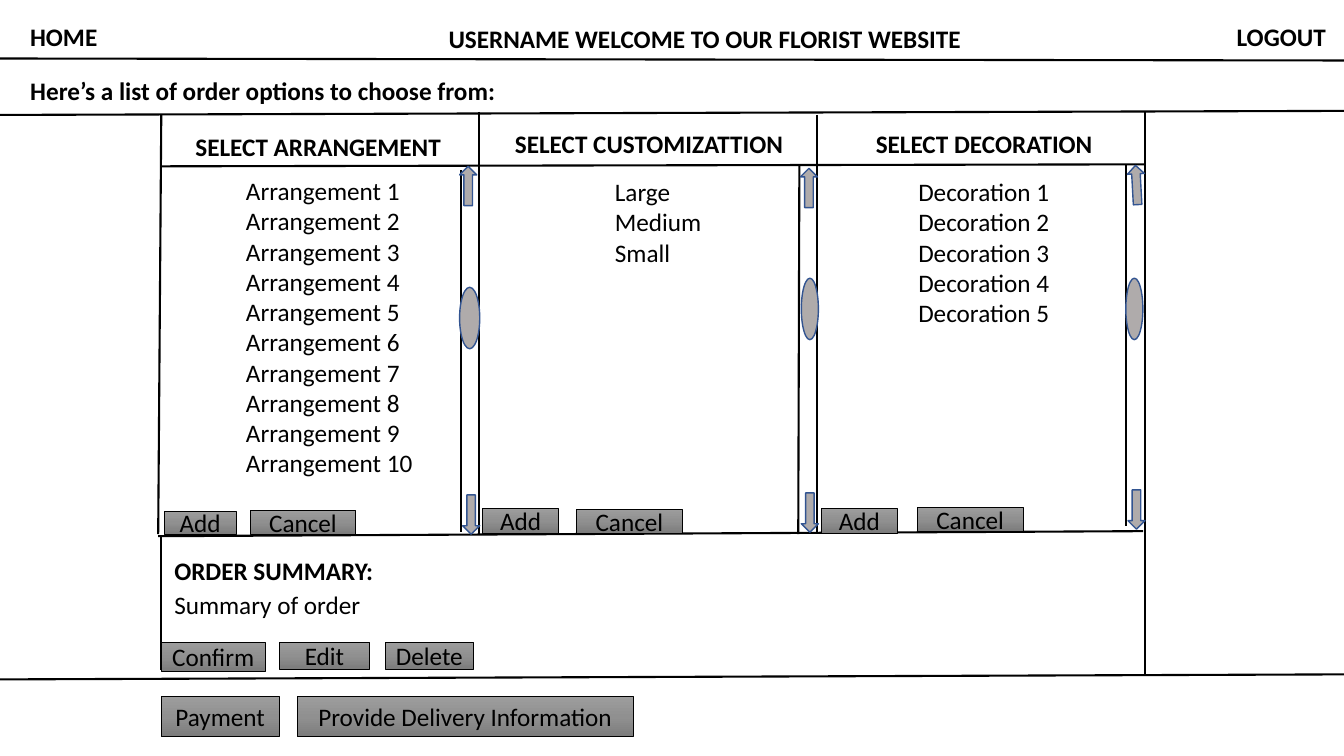
from copy import deepcopy

from lxml import etree
from pptx import Presentation
from pptx.dml.color import RGBColor
from pptx.enum.shapes import MSO_CONNECTOR, MSO_SHAPE
from pptx.enum.text import MSO_ANCHOR, MSO_AUTO_SIZE, PP_ALIGN
from pptx.oxml.ns import qn
from pptx.util import Pt

LINE = MSO_CONNECTOR.STRAIGHT
RECT = MSO_SHAPE.RECTANGLE
OVAL = MSO_SHAPE.OVAL
DOWN = MSO_SHAPE.DOWN_ARROW
TOP = MSO_ANCHOR.TOP
MIDDLE = MSO_ANCHOR.MIDDLE
LEFT = PP_ALIGN.LEFT
CENTER = PP_ALIGN.CENTER
NO_FIT = MSO_AUTO_SIZE.NONE

WIDE, HIGH = 960, 540
PANEL_TOP, PANEL_HIGH = 79.2, 302.4
ROW = 28.8
SHADES = ((0, "9D9D9D"), (0.5, "909090"), (1, "7C7C7C"))

PANELS = [
    dict(left=115.2, title="SELECT ARRANGEMENT",
         items=[f"Arrangement {n}" for n in range(1, 11)],
         head=(17.3, 10.8, 206.6, ROW), list=(53.3, 42.5, 134.6, 225.4),
         add=(2.2, 285.8, 51.1, 16.6), cancel=(63.4, 285.1, 75.6, 17.3),
         track=(213.8, 42.5, 213.8, 301), thumb=(213.1, 126, 14.4, 43.9),
         down=(215.3, 274.3), up=(213.1, 39.6), turn=180),
    dict(left=342, title="SELECT CUSTOMIZATTION",
         items=["Large", "Medium", "Small"],
         head=(18.7, 8.6, 211.7, ROW), list=(90, 43.2, 77, 72.7),
         add=(2.9, 283.7, 54, 18), cancel=(69.8, 284.4, 75.6, 17.3),
         track=(229, 38.9, 228.2, 302.4), thumb=(230.4, 119.5, 12.2, 43.9),
         down=(230.4, 272.9), up=(229.7, 41), turn=180),
    dict(left=583.9, title="SELECT DECORATION",
         items=[f"Decoration {n}" for n in range(1, 6)],
         head=(34.6, 8.6, 199.4, ROW), list=(64.8, 43.2, 109.4, 116.6),
         add=(2.9, 283.7, 54, 18), cancel=(71.3, 283, 75.6, 17.3),
         track=(220.3, 38.2, 220.3, 296.6), thumb=(220.3, 119.5, 12.2, 43.9),
         down=(221.8, 270.7), up=(221.8, 38.9), turn=176.9),
]


def tint(code):
    return RGBColor.from_string(code)


def shift(box, part):
    return (box[0] + part[0], box[1] + part[1], *part[2:])


def place(shape, spot):
    shape.left, shape.top, shape.width, shape.height = map(Pt, spot)


def write(shape, rows, bold=False, align=LEFT, anchor=TOP):
    frame = shape.text_frame
    frame.word_wrap = True
    frame.auto_size = NO_FIT
    frame.vertical_anchor = anchor
    for i, row in enumerate(rows):
        para = frame.add_paragraph() if i else frame.paragraphs[0]
        para.alignment = align
        para.line_spacing = 1.0
        para.space_before = Pt(0)
        props = para._p.get_or_add_pPr()
        props.set("marL", "0")
        props.set("indent", "0")
        etree.SubElement(props, qn("a:buNone"))
        run = para.add_run()
        run.text = row
        run.font.name = "Calibri"
        run.font.size = Pt(18)
        run.font.bold = bold
        run.font.color.rgb = tint("000000")


def label(slide, spot, text, bold=True):
    write(slide.shapes.add_textbox(*map(Pt, spot)), [text], bold)


def fill_in(holder, spot, rows, bold=False):
    place(holder, spot)
    write(holder, rows, bold)


def rule(slide, x1, y1, x2, y2):
    line = slide.shapes.add_connector(LINE, Pt(x1), Pt(y1), Pt(x2), Pt(y2))
    line.line.color.rgb = tint("000000")
    line.line.width = Pt(1.5)
    etree.SubElement(line._element.spPr, qn("a:effectLst"))


def block(slide, kind, spot, edge, width):
    shape = slide.shapes.add_shape(kind, *map(Pt, spot))
    shape.shadow.inherit = False
    shape.line.color.rgb = tint(edge)
    shape.line.width = Pt(width)
    return shape


def button(slide, spot, text):
    shape = block(slide, RECT, spot, "000000", 0.5)
    shape.fill.gradient()
    shape.fill.gradient_angle = 270
    stops = shape._element.spPr.find(".//" + qn("a:gsLst"))
    stops.insert(1, deepcopy(stops[0]))
    for stop, (at, code) in zip(shape.fill.gradient_stops, SHADES):
        stop.position = at
        stop.color.rgb = tint(code)
    write(shape, [text], align=CENTER, anchor=MIDDLE)


def grip(slide, kind, spot, turn=0):
    shape = block(slide, kind, spot, "325491", 1)
    shape.fill.solid()
    shape.fill.fore_color.rgb = tint("AFABAB")
    shape.rotation = turn


def scroll(slide, box, data):
    x1, y1, x2, y2 = data["track"]
    rule(slide, *shift(box, (x1, y1)), *shift(box, (x2, y2)))
    grip(slide, OVAL, shift(box, data["thumb"]))
    for key, turn in (("down", 0), ("up", data["turn"])):
        grip(slide, DOWN, shift(box, (*data[key], 12.2, 28.1)), turn)


def panel(slide, box, data, holder):
    label(slide, shift(box, data["head"]), data["title"])
    fill_in(holder, shift(box, data["list"]), data["items"])
    button(slide, shift(box, data["add"]), "Add")
    button(slide, shift(box, data["cancel"]), "Cancel")
    scroll(slide, box, data)


def header(slide, box, title, intro):
    label(slide, shift(box, (14.4, 11.5, 65.5, ROW)), "HOME")
    label(slide, shift(box, (876.2, 11.5, 79.2, ROW)), "LOGOUT")
    fill_in(title, shift(box, (313.2, 13, 385.9, ROW)),
            ["USERNAME WELCOME TO OUR FLORIST WEBSITE"], True)
    fill_in(intro, shift(box, (14.4, 50.4, 347.8, ROW)),
            ["Here’s a list of order options to choose from:"], True)
    x, y, wide, _ = box
    rule(slide, x, y + 41.8, x + wide, y + 43.2)
    rule(slide, x, y + 82.1, x + wide, y + 79.2)


def grid(slide, box):
    x, y, wide, high = box
    rule(slide, x, y + 2.9, x - 2.2, y + high)
    rule(slide, x + wide, y + 0.7, x + wide, y + high)
    rule(slide, 342, y + 0.7, 342, y + high)
    rule(slide, 583.9, y + 2.9, 583.9, y + 301)
    rule(slide, x - 2.2, y + 303.8, x + wide - 1.4, y + 300.2)
    rule(slide, x, y + 39.6, x + wide, y + 38.2)


def order(slide, box):
    x, y, wide, _ = box
    rule(slide, x, y + 3.6, x, y + 99.4)
    rule(slide, x + wide, y, x + wide, y + 102.3)
    label(slide, shift(box, (2.2, 13.7, 158.4, ROW)), "ORDER SUMMARY:")
    label(slide, shift(box, (2.2, 38.2, 149, ROW)), "Summary of order", False)
    for text, left, width, high in (("Confirm", 0, 74.2, 20.9),
                                    ("Edit", 84.2, 64.8, 19.4),
                                    ("Delete", 159.8, 63.4, 19.4)):
        button(slide, shift(box, (left, 79.2, width, high)), text)


def footer(slide, box):
    x, y, wide, _ = box
    rule(slide, x, y + 3.6, x + wide, y)
    button(slide, shift(box, (115.2, 15.8, 84.2, ROW)), "Payment")
    button(slide, shift(box, (212.4, 15.8, 239.8, ROW)),
           "Provide Delivery Information")


def main():
    deck = Presentation()
    deck.slide_width, deck.slide_height = Pt(WIDE), Pt(HIGH)
    slide = deck.slides.add_slide(deck.slide_layouts.get_by_name("Comparison"))
    title, first, second, intro, third = slide.placeholders
    header(slide, (0, 0, WIDE, 82), title, intro)
    grid(slide, (115.2, PANEL_TOP, 702.7, PANEL_HIGH))
    rights = [data["left"] for data in PANELS[1:]] + [817.9]
    for data, right, holder in zip(PANELS, rights, (first, second, third)):
        box = (data["left"], PANEL_TOP, right - data["left"], PANEL_HIGH)
        panel(slide, box, data, holder)
    order(slide, (115.2, 379.4, 702.7, 102.3))
    footer(slide, (0, 481.7, WIDE, 58.3))
    deck.save("out.pptx")


if __name__ == "__main__":
    main()
